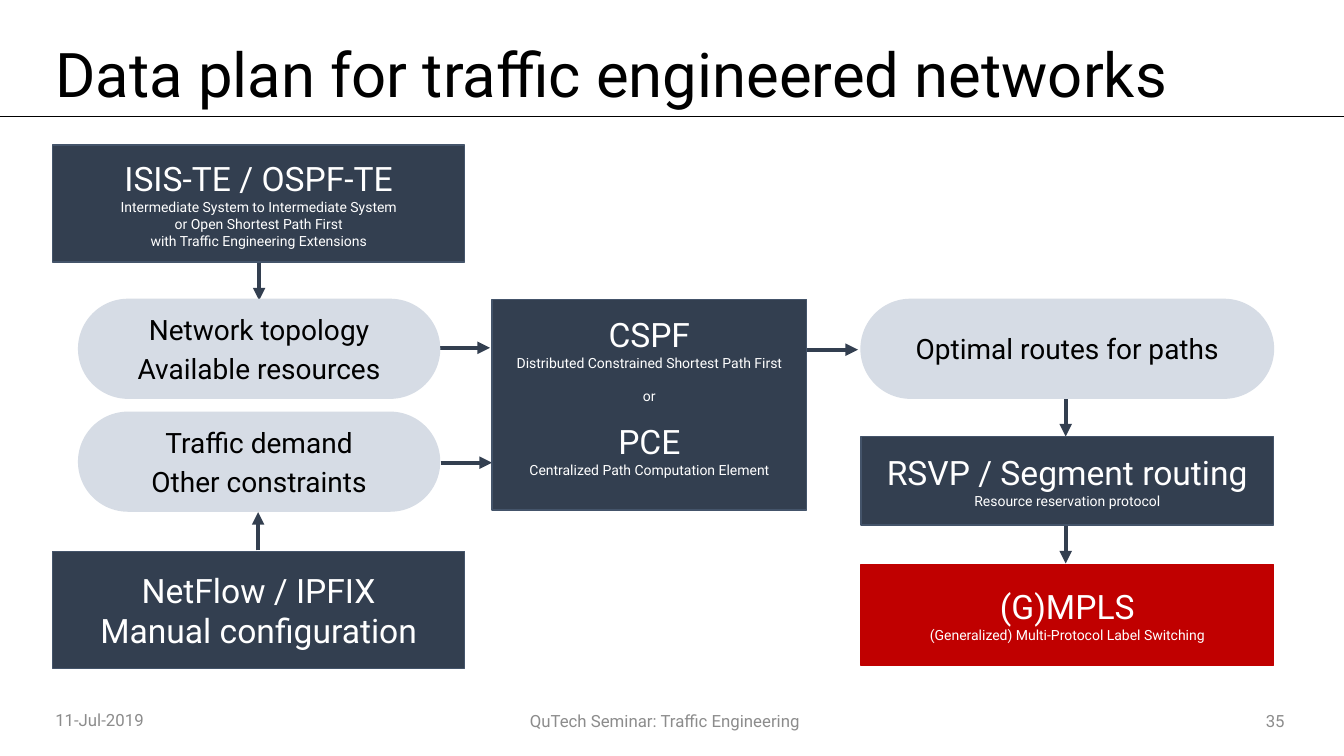
from copy import deepcopy

from lxml import etree
from pptx import Presentation
from pptx.dml.color import RGBColor
from pptx.enum.shapes import MSO_CONNECTOR, MSO_SHAPE
from pptx.enum.text import MSO_ANCHOR, PP_ALIGN
from pptx.oxml.ns import qn
from pptx.util import Pt

EMU_PER_PX = 9144  # 100 px to the inch
LEFT, CENTER, RIGHT = PP_ALIGN.LEFT, PP_ALIGN.CENTER, PP_ALIGN.RIGHT
MIDDLE = MSO_ANCHOR.MIDDLE
RECTANGLE, PILL = MSO_SHAPE.RECTANGLE, MSO_SHAPE.ROUNDED_RECTANGLE
STRAIGHT = MSO_CONNECTOR.STRAIGHT

BLACK, WHITE, GREY = "000000", "FFFFFF", "8C8C8C"
NAVY, SLATE, PALE, RED = "333F50", "44546A", "D6DCE5", "C00000"


def px(length):
    return length * EMU_PER_PX


def color(hex_string):
    return RGBColor.from_string(hex_string)


def set_attributes(target, values):
    for name, value in values.items():
        setattr(target, name, value)


class SlideBuilder:
    font_name = "Roboto"
    heading_size, detail_size, pill_size = 24, 10, 20

    def __init__(self, slide):
        self.slide = slide

    def add_paragraphs(self, shape, paragraphs, text_color, align, inset=None):
        """Fill a shape with (text, size, paragraph format) entries."""
        frame = shape.text_frame
        set_attributes(frame, {"word_wrap": True, "vertical_anchor": MIDDLE})
        set_attributes(frame, inset or {})
        for index, (text, size, values) in enumerate(paragraphs):
            paragraph = frame.add_paragraph() if index else frame.paragraphs[0]
            paragraph.text = text
            set_attributes(paragraph, {"alignment": align, **values})
            for run in paragraph.runs:
                set_attributes(run.font, {"name": self.font_name, "size": Pt(size)})
                run.font.color.rgb = color(text_color)
            # Line breaks need the run's size to keep the line height.
            for line_break in paragraph._p.findall(qn("a:br")):
                line_break.append(deepcopy(paragraph.runs[0]._r.rPr))

    def text(self, box, text, size, text_color, align=LEFT, **values):
        shape = self.slide.shapes.add_textbox(*map(px, box))
        self.add_paragraphs(shape, [(text, size, values)], text_color, align)

    def shape(self, kind, box, fill, outline):
        shape = self.slide.shapes.add_shape(kind, *map(px, box))
        shape.shadow.inherit = False
        shape.fill.solid()
        shape.fill.fore_color.rgb = color(fill)
        shape.line.color.rgb = color(outline)
        shape.line.width = Pt(1)
        return shape

    def block(self, box, paragraphs, fill=NAVY, outline=SLATE, bottom=0):
        shape = self.shape(RECTANGLE, box, fill, outline)
        inset = {"margin_left": 0, "margin_right": 0,
                 "margin_top": 0, "margin_bottom": px(bottom)}
        self.add_paragraphs(shape, paragraphs, WHITE, CENTER, inset)

    def pill(self, box, *lines):
        shape = self.shape(PILL, box, PALE, PALE)
        shape.adjustments[0] = 0.5
        paragraphs = [
            (line, self.pill_size,
             {"space_before": Pt(2 if index else 0), "space_after": Pt(2)})
            for index, line in enumerate(lines)
        ]
        self.add_paragraphs(shape, paragraphs, BLACK, CENTER)

    def line(self, points, line_color, width):
        connector = self.slide.shapes.add_connector(STRAIGHT, *map(px, points))
        connector.line.color.rgb = color(line_color)
        connector.line.width = Pt(width)
        etree.SubElement(connector._element.spPr, qn("a:effectLst"))
        return connector

    def arrow(self, *points):
        connector = self.line(points, NAVY, 3)
        outline = connector._element.spPr.find(qn("a:ln"))
        etree.SubElement(outline, qn("a:tailEnd"), type="triangle")

    def heading(self, text, **values):
        return text, self.heading_size, values

    def detail(self, text, **values):
        return text, self.detail_size, values


def main():
    presentation = Presentation()
    presentation.slide_width, presentation.slide_height = px(1333), px(750)
    slide = presentation.slides.add_slide(presentation.slide_layouts[6])
    builder = SlideBuilder(slide)
    heading, detail = builder.heading, builder.detail

    builder.line((0, 115, 1333, 115), BLACK, 0.5)
    builder.text((45, 36, 1239, 81), "Data plan for traffic engineered networks",
                 44, BLACK, line_spacing=0.9)
    for box, text, align in (
        ((45, 694, 137, 40), "11-Jul-2019", LEFT),
        ((193, 695, 933, 40), "QuTech Seminar: Traffic Engineering", CENTER),
        ((1140, 695, 144, 40), "35", RIGHT),
    ):
        builder.text(box, text, 12, GREY, align)

    source_left, result_left, column_width = 52, 854, 409
    pill_left, pill_width, pill_height = 78, 358, 98
    topology_top, demand_top = 297, 409
    result_center = 1057

    for points in (
        (435, 345, 486, 345),
        (437, 459, 488, 459),
        (800, 347, 851, 347),
        (257, 260, 257, 298),
        (256, 546, 256, 508),
        (result_center, 395, result_center, 433),
        (result_center, 521, result_center, 559),
    ):
        builder.arrow(*points)

    builder.block((source_left, 144, column_width, 116), [
        heading("ISIS-TE / OSPF-TE"),
        detail("Intermediate System to Intermediate System\n"
               "or Open Shortest Path First\n"
               "with Traffic Engineering Extensions"),
    ])
    builder.pill((pill_left, topology_top, pill_width, pill_height),
                 "Network topology", "Available resources")
    builder.pill((pill_left, demand_top, pill_width, pill_height),
                 "Traffic demand", "Other constraints")
    builder.block((source_left, 547, column_width, 116), [
        heading("NetFlow / IPFIX"),
        heading("Manual configuration"),
    ])

    builder.block((488, topology_top, 312, 209), [
        heading("CSPF"),
        detail("Distributed Constrained Shortest Path First"),
        detail("or", space_before=Pt(12)),
        heading("PCE", space_before=Pt(12)),
        detail("Centralized Path Computation Element"),
    ], bottom=17)

    builder.pill((result_left, topology_top, column_width, pill_height),
                 "Optimal routes for paths")
    builder.block((result_left, 433, column_width, 88), [
        heading("RSVP / Segment routing"),
        detail("Resource reservation protocol"),
    ])
    builder.block((result_left, 560, column_width, 100), [
        heading("(G)MPLS"),
        detail("(Generalized) Multi-Protocol Label Switching"),
    ], fill=RED, outline=RED)

    presentation.save("out.pptx")


if __name__ == "__main__":
    main()
